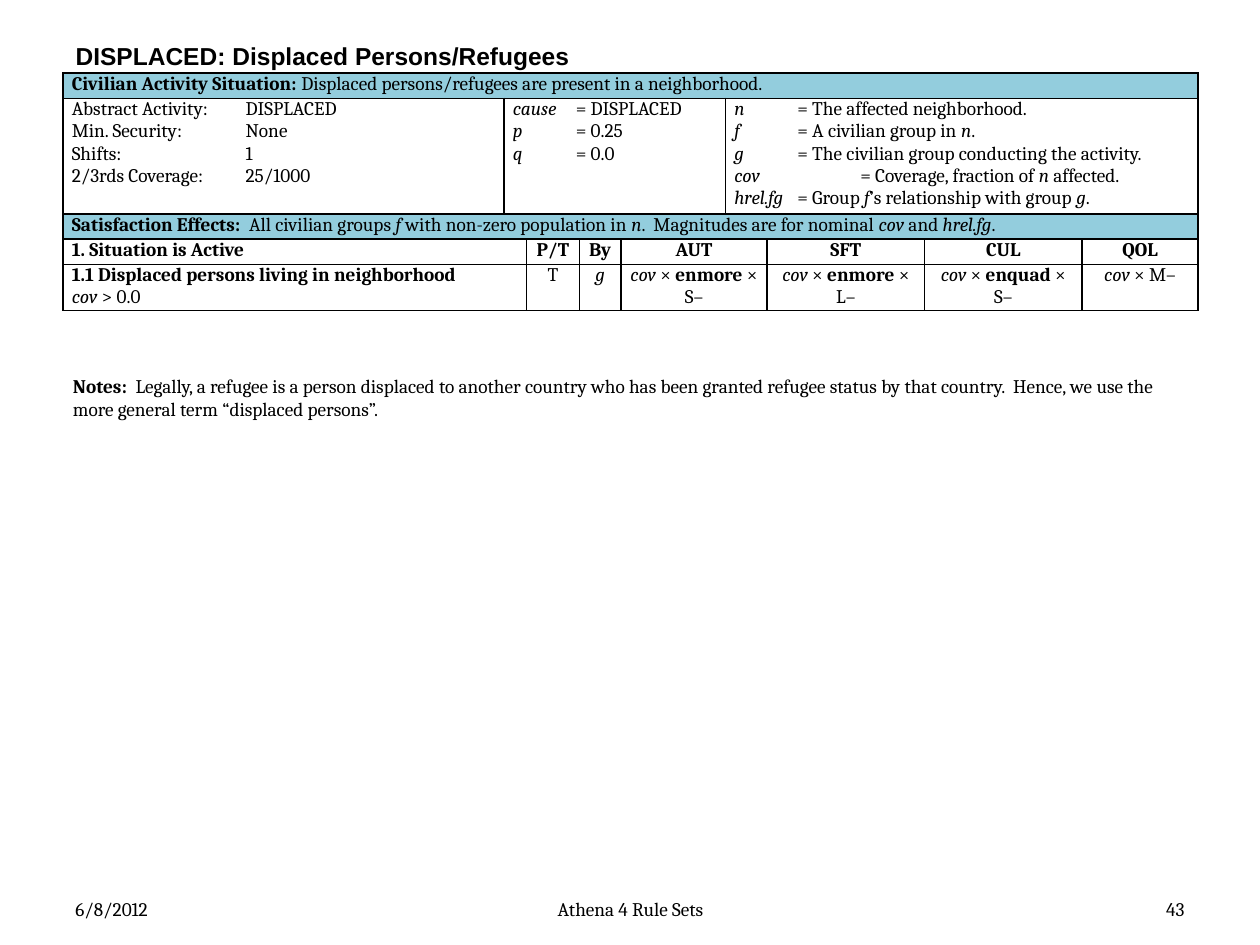
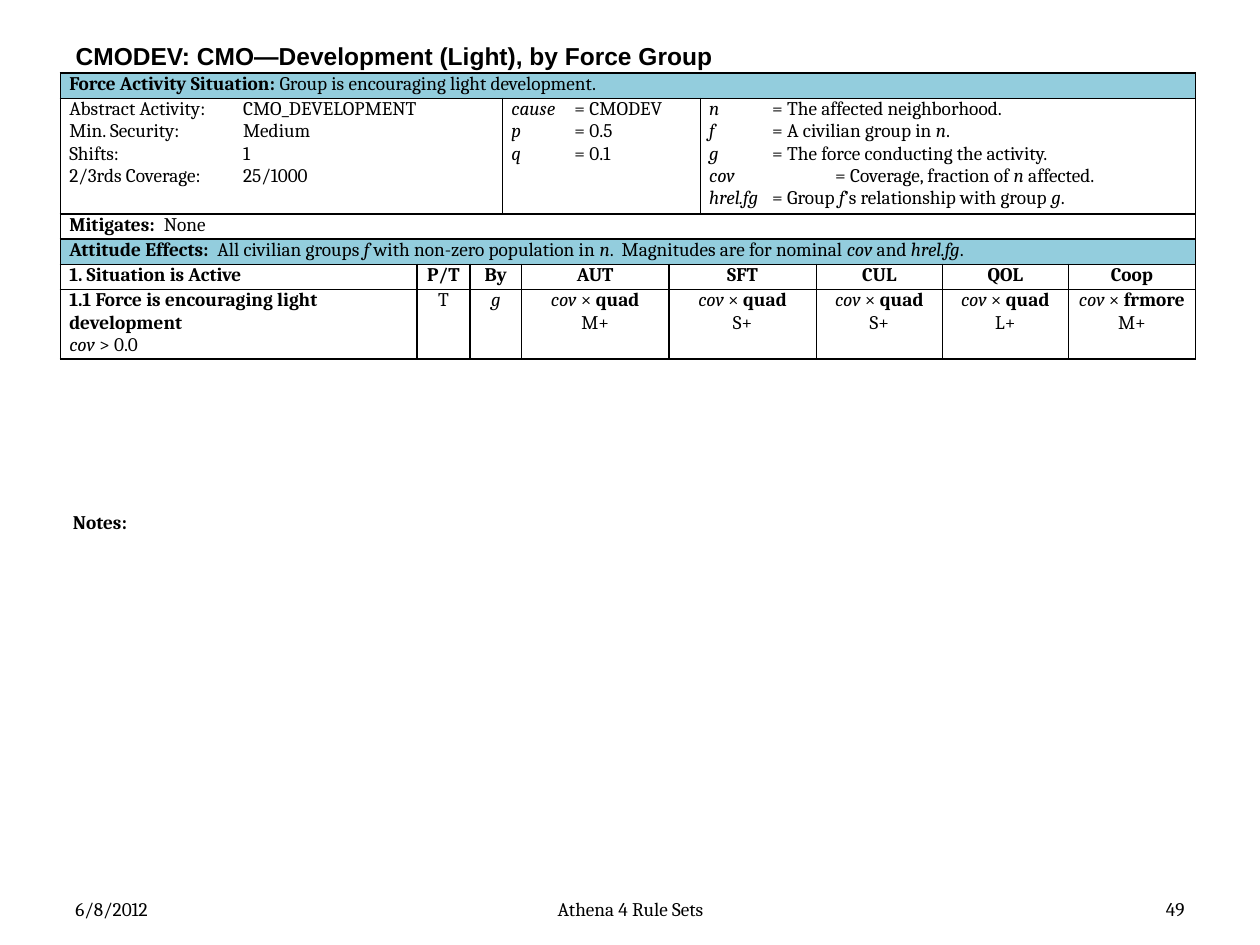
"""Builds two Athena rule-set pages, each with a rule table and notes."""
from dataclasses import dataclass

from lxml import etree
from pptx import Presentation
from pptx.dml.color import RGBColor
from pptx.enum import text as t
from pptx.oxml.ns import qn
from pptx.util import Inches, Pt

COLORS = {"ink": "000000", "band": "93CDDD", "paper": "FFFFFF"}
TITLE_FONT, BODY_FONT = "Arial", "Cambria"
TITLE_SIZE, BODY_SIZE = 14, 11
LEFT, CENTER, RIGHT = t.PP_ALIGN.LEFT, t.PP_ALIGN.CENTER, t.PP_ALIGN.RIGHT
FACT_TABS, SYMBOL_TABS, MITIGATES_TABS = (1.38,), (0.5, 1.0), (0.75,)


@dataclass
class Entry:
    """A table cell: its lines in markup, column span, alignment and tab stops."""
    lines: list
    span: int = 1
    align: int = LEFT
    tabs: tuple = ()


@dataclass
class Row:
    """A table row: its least height, its entries and its fill colour name."""
    height: float
    entries: list
    fill: str = ""


def rgb(name):
    """Return a named colour."""
    return RGBColor.from_string(COLORS[name])


def style(font, face, size, bold=False, italic=False):
    """Format a run's font."""
    font.name, font.size = face, Pt(size)
    font.bold, font.italic = bold, italic
    font.color.rgb = rgb("ink")


def write_line(para, markup, align=LEFT, tabs=()):
    """Write one paragraph; *stars* mark bold and ~tildes~ mark italic."""
    para.alignment = align
    if tabs:
        stops = etree.SubElement(para._p.get_or_add_pPr(), qn("a:tabLst"))
        for stop in tabs:
            etree.SubElement(stops, qn("a:tab"), pos=str(Inches(stop)), algn="l")
    for bold, part in enumerate(markup.split("*")):
        for italic, words in enumerate(part.split("~")):
            if words:
                span = para.add_run()
                span.text = words
                style(span.font, BODY_FONT, BODY_SIZE, bold % 2 == 1, italic % 2 == 1)


def add_label(page, place, markup, align=LEFT, anchor=t.MSO_ANCHOR.MIDDLE):
    """Add a wrapped text box with one paragraph."""
    frame = page.shapes.add_textbox(*map(Inches, place)).text_frame
    frame.word_wrap = True
    frame.vertical_anchor = anchor
    write_line(frame.paragraphs[0], markup, align)
    return frame


def add_page(deck, title, number):
    """Add a page with its title and footer."""
    page = deck.slides.add_slide(deck.slide_layouts[5])
    heading = page.shapes.title
    heading.left, heading.top, heading.width, heading.height = map(
        Inches, (0.5, 0.3, 9, 0.28))
    frame = heading.text_frame
    frame.text = title
    frame.auto_size = t.MSO_AUTO_SIZE.NONE
    frame.vertical_anchor = t.MSO_ANCHOR.MIDDLE
    para = frame.paragraphs[0]
    para.alignment = LEFT
    style(para.runs[0].font, TITLE_FONT, TITLE_SIZE, bold=True)
    footers = [(0.5, 2.33, "6/8/2012", LEFT),
               (3.42, 3.17, "Athena 4 Rule Sets", CENTER),
               (7.17, 2.33, number, RIGHT)]
    for left, width, words, align in footers:
        add_label(page, (left, 7.08, width, 0.27), words, align)
    return page


def add_notes(page, top, height, markup):
    """Add the notes below the table."""
    frame = add_label(page, (0.48, top, 9.08, height), markup,
                      anchor=t.MSO_ANCHOR.TOP)
    frame.auto_size = t.MSO_AUTO_SIZE.SHAPE_TO_FIT_TEXT


def format_cell(cell, fill):
    """Set a cell's margins, black borders and fill."""
    cell.margin_left = cell.margin_right = Inches(0.07)
    cell.margin_top = cell.margin_bottom = 0
    props = cell._tc.get_or_add_tcPr()
    for side in ("lnL", "lnR", "lnT", "lnB"):
        line = etree.SubElement(props, qn(f"a:{side}"), w=str(Pt(1)))
        solid = etree.SubElement(line, qn("a:solidFill"))
        etree.SubElement(solid, qn("a:srgbClr"), val=COLORS["ink"])
    if fill:
        cell.fill.solid()
        cell.fill.fore_color.rgb = rgb(fill)
    else:
        cell.fill.background()


def add_rule_table(page, left, widths, rows):
    """Add a rule table with merged columns."""
    height = sum(row.height for row in rows)
    table = page.shapes.add_table(
        len(rows), len(widths), Inches(left), Inches(0.58),
        Inches(sum(widths)), Inches(height)).table
    table.first_row = table.horz_banding = False
    for column, width in zip(table.columns, widths):
        column.width = Inches(width)
    for index, row in enumerate(rows):
        table.rows[index].height = Inches(row.height)
        for column in range(len(widths)):
            format_cell(table.cell(index, column), row.fill)
        start = 0
        for entry in row.entries:
            cell = table.cell(index, start)
            if entry.span > 1:
                cell.merge(table.cell(index, start + entry.span - 1))
            frame = cell.text_frame
            for number, markup in enumerate(entry.lines):
                para = frame.add_paragraph() if number else frame.paragraphs[0]
                write_line(para, markup, entry.align, entry.tabs)
            start += entry.span


def band_row(markup, span):
    """Return a coloured row across the table."""
    return Row(0.2, [Entry([markup], span)], "band")


def effects_row(kind, span):
    """Return the band that introduces the effects."""
    return band_row(f"*{kind} Effects:*  All civilian groups ~f~ with non-zero "
                    "population in ~n~.  Magnitudes are for nominal ~cov~ and "
                    "~hrel.fg~.", span)


def facts_row(activity, security, cause, p, q, actor, spans):
    """Return the row of activity facts, parameters and symbols."""
    facts = [f"Abstract Activity:\t{activity}", f"Min. Security:\t{security}",
             "Shifts:\t1", "2/3rds Coverage:\t25/1000"]
    parameters = [f"~cause~\t= {cause}", f"~p~\t= {p}", f"~q~\t= {q}"]
    symbols = ["~n~\t= The affected neighborhood.",
               "~f~\t= A civilian group in ~n~.",
               f"~g~\t= The {actor} conducting the activity.",
               "~cov~\t\t= Coverage, fraction of ~n~ affected.",
               "~hrel.fg~\t= Group ~f~’s relationship with group ~g~."]
    columns = zip((facts, parameters, symbols), spans,
                  (FACT_TABS, SYMBOL_TABS, SYMBOL_TABS))
    return Row(0.6, [Entry(lines, span, tabs=tabs) for lines, span, tabs in columns])


def rule_rows(rule, effects, spans):
    """Return the heading row and the rule row; effects map names to lines."""
    names = ["P/T", "By", *effects]
    values = [["T"], ["~g~"], *effects.values()]
    heading = [Entry(["*1. Situation is Active*"], spans[0])]
    heading += [Entry([f"*{name}*"], span, CENTER)
                for name, span in zip(names, spans[1:])]
    body = [Entry([f"*{rule}*", "~cov~ > 0.0"], spans[0])]
    body += [Entry(lines, span, CENTER) for lines, span in zip(values, spans[1:])]
    return [Row(0.2, heading, "paper"), Row(0.3, body)]


def build_displaced(deck):
    """Build the page on displaced persons."""
    page = add_page(deck, "DISPLACED: Displaced Persons/Refugees", "43")
    widths = [3.5, 0.17, 0.42, 0.33, 0.83, 0.33, 1.25, 1.25, 0.92]
    effects = {"AUT": ["~cov~ × *enmore* ×", "S–"],
               "SFT": ["~cov~ × *enmore* ×", "L–"],
               "CUL": ["~cov~ × *enquad* ×", "S–"],
               "QOL": ["~cov~ × M–"]}
    add_rule_table(page, 0.5, widths, [
        band_row("*Civilian Activity Situation:* Displaced persons/refugees "
                 "are present in a neighborhood.", len(widths)),
        facts_row("DISPLACED", "None", "DISPLACED", "0.25", "0.0",
                  "civilian group", (1, 4, 4)),
        effects_row("Satisfaction", len(widths)),
        *rule_rows("1.1 Displaced persons living in neighborhood", effects,
                   (2, 1, 1, 2, 1, 1, 1))])
    add_notes(page, 2.92, 0.47,
              "*Notes:*  Legally, a refugee is a person displaced to another "
              "country who has been granted refugee status by that country.  "
              "Hence, we use the more general term “displaced persons”.")


def build_development(deck):
    """Build the page on light development."""
    page = add_page(deck, "CMODEV: CMO—Development (Light), by Force Group", "49")
    widths = [2.83, 0.42, 0.26, 0.15, 1.17, 0.25, 0.92, 1, 1, 1.01]
    gains = {"AUT": "M+", "SFT": "S+", "CUL": "S+", "QOL": "L+"}
    effects = {name: ["~cov~ × *quad*", gain] for name, gain in gains.items()}
    effects["Coop"] = ["~cov~ × *frmore*", "M+"]
    add_rule_table(page, 0.48, widths, [
        band_row("*Force Activity Situation:* Group is encouraging light "
                 "development.", len(widths)),
        facts_row("CMO_DEVELOPMENT", "Medium", "CMODEV", "0.5", "0.1",
                  "force", (3, 3, 4)),
        Row(0.2, [Entry(["*Mitigates:*\tNone"], len(widths),
                        tabs=MITIGATES_TABS)], "paper"),
        effects_row("Attitude", len(widths)),
        *rule_rows("1.1 Force is encouraging light development", effects,
                   (1, 1, 2, 1, 2, 1, 1, 1))])
    add_notes(page, 4, 0.29, "*Notes:*")


def main():
    """Build and save the deck."""
    deck = Presentation()
    deck.slide_width, deck.slide_height = Inches(10), Inches(7.5)
    build_displaced(deck)
    build_development(deck)
    deck.save("out.pptx")


if __name__ == "__main__":
    main()
